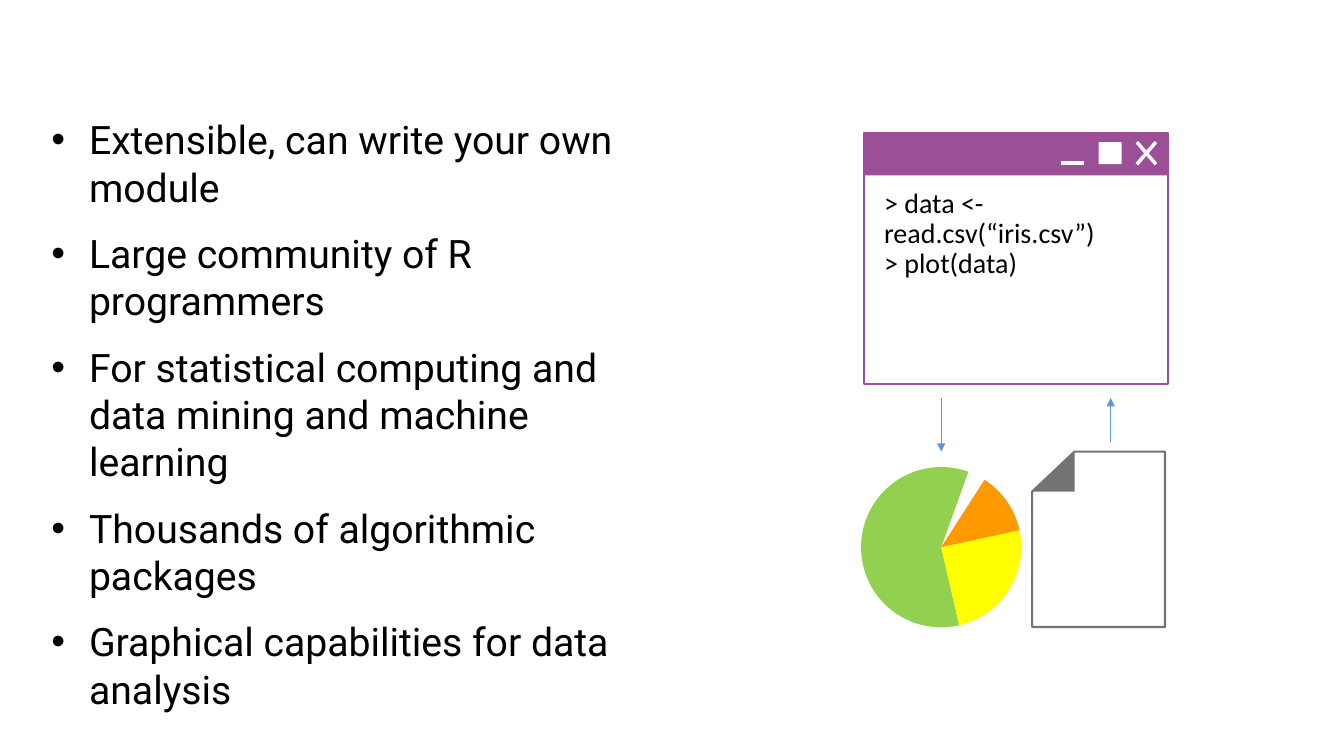
from lxml import etree
from pptx import Presentation
from pptx.dml.color import RGBColor
from pptx.enum.shapes import MSO_CONNECTOR, MSO_SHAPE
from pptx.enum.text import MSO_ANCHOR, MSO_AUTO_SIZE, PP_ALIGN
from pptx.oxml.ns import qn
from pptx.util import Cm, Pt

RECTANGLE, PIE = MSO_SHAPE.RECTANGLE, MSO_SHAPE.PIE
STRAIGHT = MSO_CONNECTOR.STRAIGHT
TOP, LEFT = MSO_ANCHOR.TOP, PP_ALIGN.LEFT
NO_AUTOFIT = MSO_AUTO_SIZE.NONE

BLACK = RGBColor(0x00, 0x00, 0x00)
WHITE = RGBColor(0xFF, 0xFF, 0xFF)
PURPLE = RGBColor(0x9B, 0x4F, 0x96)
GREEN = RGBColor(0x92, 0xD0, 0x50)
YELLOW = RGBColor(0xFF, 0xFF, 0x00)
ORANGE = RGBColor(0xFF, 0x99, 0x00)
GREY = RGBColor(0x73, 0x73, 0x73)
BLUE = RGBColor(0x5B, 0x9B, 0xD5)

BENEFITS = [
    "Extensible, can write your own module",
    "Large community of R programmers",
    "For statistical computing and data mining and machine learning",
    "Thousands of algorithmic packages",
    "Graphical capabilities for data analysis",
]
COMMANDS = ["> data <- read.csv(“iris.csv”)", "> plot(data)"]
# Fill, start angle and end angle, in degrees clockwise from the right
SLICES = [(GREEN, 77, 289.8), (YELLOW, 347.7, 77), (ORANGE, 302.7, 347.7)]


def apply_format(target, values):
    for name, value in values.items():
        setattr(target, name, value)


def write_paragraphs(frame, lines, font_name, size, paragraph_format):
    for index, line in enumerate(lines):
        paragraph = frame.paragraphs[0] if index == 0 else frame.add_paragraph()
        apply_format(paragraph, paragraph_format)
        run = paragraph.add_run()
        run.text = line
        apply_format(run.font, {"name": font_name, "size": Pt(size)})
        run.font.color.rgb = BLACK


def paint(shape, fill, outline=None):
    shape.shadow.inherit = False
    shape.fill.solid()
    shape.fill.fore_color.rgb = fill
    if outline is None:
        shape.line.fill.background()
    else:
        shape.line.color.rgb = outline
        shape.line.width = Pt(1.5)
    return shape


def add_box(shapes, left, top, width, height, fill, outline=None):
    box = shapes.add_shape(RECTANGLE, Cm(left), Cm(top), Cm(width), Cm(height))
    return paint(box, fill, outline)


def add_outline(shapes, points, fill, outline=None):
    """Draw a closed polygon through points given in centimetres."""
    corners = [(Cm(x), Cm(y)) for x, y in points]
    builder = shapes.build_freeform(*corners[0])
    builder.add_line_segments(corners[1:], close=True)
    return paint(builder.convert_to_shape(), fill, outline)


def add_line(shapes, start, end, color, width, arrow=False):
    line = shapes.add_connector(STRAIGHT, *(Cm(v) for v in (*start, *end)))
    line.line.color.rgb = color
    line.line.width = Pt(width)
    if arrow:
        etree.SubElement(line.line._get_or_add_ln(), qn("a:tailEnd"), type="triangle")
    etree.SubElement(line._element.spPr, qn("a:effectLst"))


def add_benefits(body):
    apply_format(body, {"left": Cm(1.04), "top": Cm(2.79),
                        "width": Cm(15.77), "height": Cm(15.77)})
    frame = body.text_frame
    apply_format(frame, {"word_wrap": True, "auto_size": NO_AUTOFIT,
                         "vertical_anchor": TOP})
    write_paragraphs(frame, BENEFITS, "Roboto", 28,
                     {"space_before": Pt(14), "alignment": LEFT})
    for paragraph in frame.paragraphs:
        properties = paragraph._p.get_or_add_pPr()
        properties.set("marL", str(Cm(0.95)))
        properties.set("indent", str(-Cm(0.95)))
        etree.SubElement(properties, qn("a:buFont"), typeface="Arial")
        etree.SubElement(properties, qn("a:buChar"), char="•")


def add_console(shapes):
    left, top, width = 21.77, 3.35, 7.67
    console = add_box(shapes, left, top, width, 6.32, WHITE, PURPLE)
    frame = console.text_frame
    apply_format(frame, {"word_wrap": True, "vertical_anchor": TOP,
                         "margin_left": Cm(0.51), "margin_right": Cm(0.51),
                         "margin_top": Cm(1.42), "margin_bottom": Cm(0.41)})
    write_paragraphs(frame, COMMANDS, "Calibri", 20,
                     {"alignment": LEFT, "line_spacing": 0.9})
    add_box(shapes, left, top, width, 1.07, PURPLE)

    icon_top, icon_bottom = 3.58, 4.14
    add_box(shapes, 27.69, icon_top, 0.58, icon_bottom - icon_top, WHITE)
    add_line(shapes, (26.75, 4.11), (27.31, 4.11), WHITE, 2.5)
    for start_y, end_y in ((icon_top, icon_bottom), (icon_bottom, icon_top)):
        add_line(shapes, (29.13, start_y), (28.65, end_y), WHITE, 2.5)


def add_pie(shapes):
    center_x, center_y, radius = 23.72, 13.79, 2.02
    for color, start, end in SLICES:
        piece = shapes.add_shape(PIE, Cm(center_x - radius), Cm(center_y - radius),
                                 Cm(2 * radius), Cm(2 * radius))
        # An adjustment of 0.6 is one degree
        for index, angle in enumerate((start, end)):
            piece.adjustments[index] = angle * 0.6
        paint(piece, color)


def add_data_file(shapes):
    left, top, right, bottom = 26.01, 11.38, 29.36, 15.8
    fold_x, fold_y = left + 1.07, top + 1.01
    add_outline(shapes, [(right, bottom), (left, bottom), (left, fold_y),
                         (fold_x, top), (right, top)], WHITE, GREY)
    add_outline(shapes, [(fold_x, fold_y), (left, fold_y), (fold_x, top)], GREY)


def main():
    presentation = Presentation()
    presentation.slide_width, presentation.slide_height = Cm(33.87), Cm(19.05)
    slide = presentation.slides.add_slide(presentation.slide_layouts[1])
    title = slide.shapes.title._element
    title.getparent().remove(title)

    add_benefits(slide.placeholders[1])
    for add_part in (add_console, add_pie, add_data_file):
        add_part(slide.shapes.add_group_shape().shapes)
    add_line(slide.shapes, (27.99, 11.15), (27.99, 10.03), BLUE, 0.5, arrow=True)
    add_line(slide.shapes, (23.72, 10.03), (23.72, 11.38), BLUE, 0.5, arrow=True)
    presentation.save("out.pptx")


if __name__ == "__main__":
    main()
